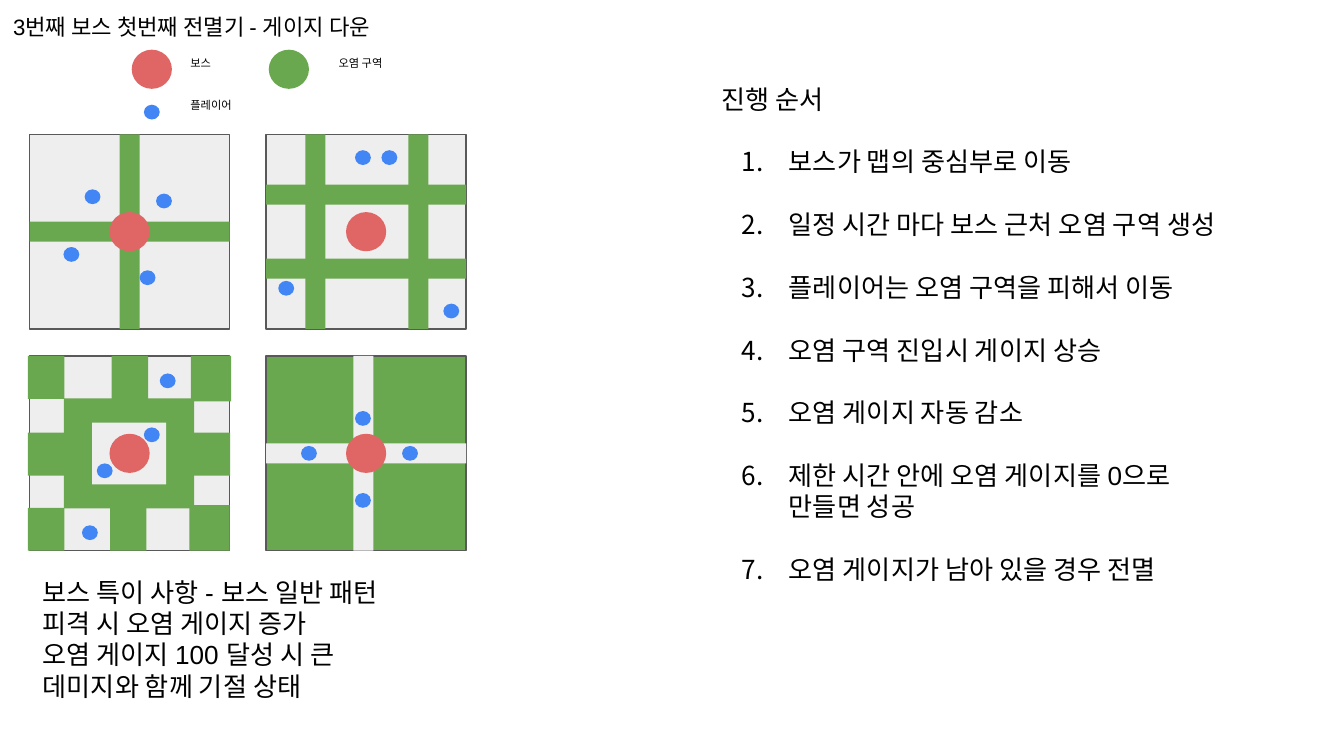
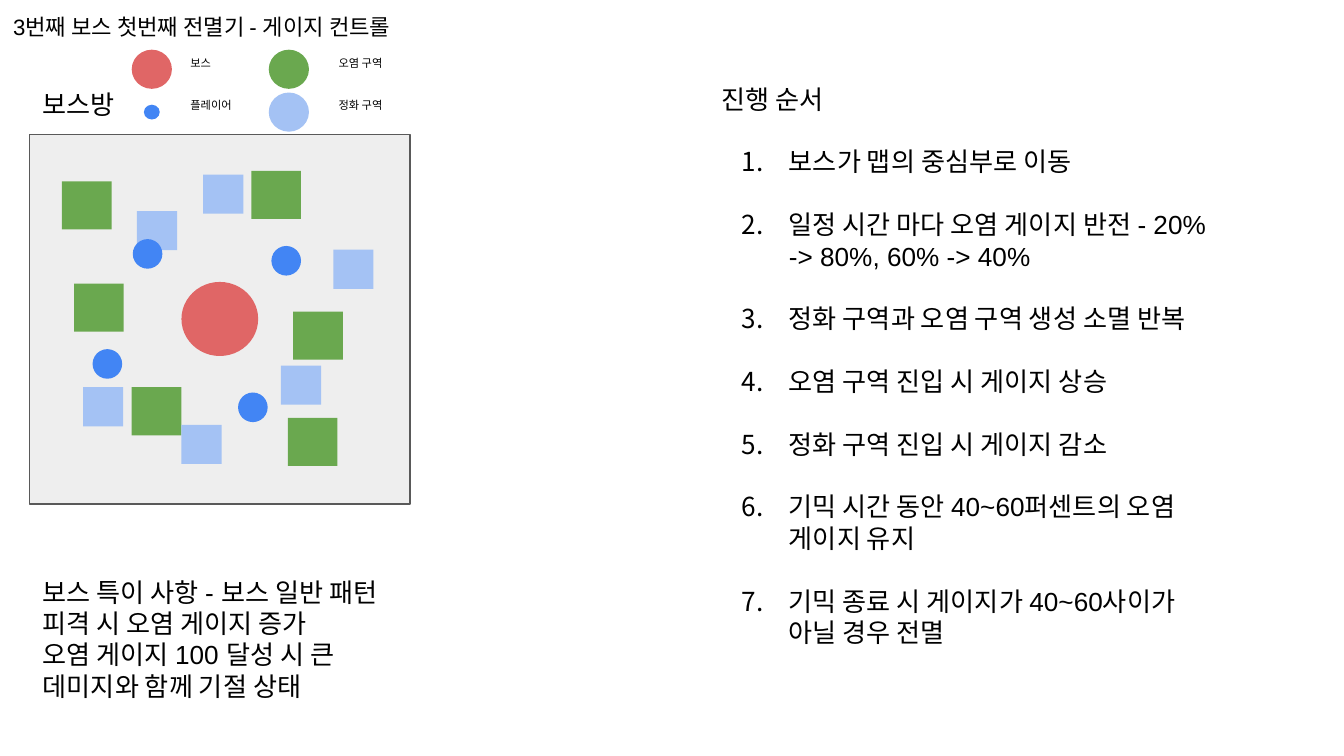
from lxml import etree
from pptx import Presentation
from pptx.dml.color import RGBColor
from pptx.enum.shapes import MSO_SHAPE
from pptx.oxml.ns import qn
from pptx.util import Cm, Pt

RED, GREEN, BLUE, PALE = "E06666", "6AA84F", "4285F4", "A4C2F4"
FLOOR, EDGE, BLACK = "EEEEEE", "595959", "000000"
OVAL, RECT = MSO_SHAPE.OVAL, MSO_SHAPE.RECTANGLE

BOSS = (0.76, 0.74)
PLAYER = (0.3, 0.28)
ARENA_W, ARENA_H, BAR = 3.78, 3.68, 0.38
ROOM_LEFT, ROOM_TOP = 0.56, 2.54

NOTES = ["보스 특이 사항 - 보스 일반 패턴 피격 시 오염 게이지 증가",
         "오염 게이지 100 달성 시 큰 데미지와 함께 기절 상태"]

pages = [
    ("게이지 다운", 8.05, 10.69, [
        "보스가 맵의 중심부로 이동",
        "일정 시간 마다 보스 근처 오염 구역 생성",
        "플레이어는 오염 구역을 피해서 이동",
        "오염 구역 진입시 게이지 상승",
        "오염 게이지 자동 감소",
        "제한 시간 안에 오염 게이지를 0으로 만들면 성공",
        "오염 게이지가 남아 있을 경우 전멸"]),
    ("게이지 컨트롤", 8.56, 11.28, [
        "보스가 맵의 중심부로 이동",
        "일정 시간 마다 오염 게이지 반전 - 20% -> 80%, 60% -> 40%",
        "정화 구역과 오염 구역 생성 소멸 반복",
        "오염 구역 진입 시 게이지 상승",
        "정화 구역 진입 시 게이지 감소",
        "기믹 시간 동안 40~60퍼센트의 오염 게이지 유지",
        "기믹 종료 시 게이지가 40~60사이가 아닐 경우 전멸"]),
]


def add_figure(s, kind, x, y, w, h, color, edge=None):
    sp = s.shapes.add_shape(kind, Cm(x), Cm(y), Cm(w), Cm(h))
    sp.shadow.inherit = False
    sp.fill.solid()
    sp.fill.fore_color.rgb = RGBColor.from_string(color)
    if edge:
        sp.line.color.rgb = RGBColor.from_string(edge)
        sp.line.width = Pt(0.75)
    else:
        sp.line.fill.background()


def add_text(s, x, y, w, h, lines, size):
    tf = s.shapes.add_textbox(Cm(x), Cm(y), Cm(w), Cm(h)).text_frame
    tf.word_wrap = True
    tf.margin_left = tf.margin_right = tf.margin_top = tf.margin_bottom = Cm(0.25)
    for i, line in enumerate(lines):
        p = tf.add_paragraph() if i else tf.paragraphs[0]
        p.text = line
        for r in p.runs:
            r.font.name = "Arial"
            r.font.size = Pt(size)
            r.font.color.rgb = RGBColor.from_string(BLACK)
    return tf


prs = Presentation()
prs.slide_width, prs.slide_height = Cm(25.4), Cm(14.29)

# Shared by both slides: title, steps, notes and legend
for topic, title_w, steps_h, steps in pages:
    s = prs.slides.add_slide(prs.slide_layouts[6])
    add_text(s, 0, 0, title_w, 0.99, [f"3번째 보스 첫번째 전멸기 - {topic}"], 11.9)
    tf = add_text(s, 13.39, 1.32, 10.06, steps_h, ["진행 순서"] + steps, 14)
    for p in tf.paragraphs[1:]:
        p.space_before = Pt(16.8)
        pPr = p._p.get_or_add_pPr()
        pPr.set("marL", str(Cm(1.27)))
        pPr.set("indent", str(-Cm(0.89)))
        etree.SubElement(pPr, qn("a:buFont"), typeface="Arial")
        etree.SubElement(pPr, qn("a:buAutoNum"), type="arabicPeriod")
    add_text(s, 0.56, 10.64, 6.83, 3.51, NOTES, 14)
    add_figure(s, OVAL, 2.49, 0.94, *BOSS, RED)
    add_figure(s, OVAL, 2.72, 1.98, *PLAYER, BLUE)
    add_figure(s, OVAL, 5.08, 0.94, *BOSS, GREEN)
    for x, y, w, label in [(3.35, 0.94, 1.22, "보스"), (3.35, 1.73, 1.42, "플레이어"),
                           (6.15, 0.94, 1.57, "오염 구역")]:
        add_text(s, x, y, w, 0.76, [label], 6)

# Slide 1: four arenas; zones and players are placed from each arena's corner
ring_zones = [(0.65, 0.8, 2.46, 2.08, GREEN), (1.18, 1.26, 1.4, 1.17, FLOOR)]
ring_zones += [(x, y, 0.69, 0.81, GREEN) for x, y in
               [(-0.03, 0), (-0.03, 1.45), (-0.03, 2.87), (1.55, 0), (1.52, 2.87), (3.1, 1.45)]]
ring_zones += [(x, y, 0.76, 0.86, GREEN) for x, y in [(3.05, 0), (3.02, 2.82)]]

arenas = [
    (FLOOR,
     [(1.7, 0, BAR, ARENA_H, GREEN), (0, 1.65, ARENA_W, BAR, GREEN)],
     [(1.04, 1.04), (0.64, 2.13), (2.08, 2.57), (2.39, 1.12)]),
    (FLOOR,
     [(x, 0, BAR, ARENA_H, GREEN) for x in (0.74, 2.69)]
     + [(0, y, ARENA_W, BAR, GREEN) for y in (0.95, 2.35)],
     [(1.68, 0.3), (0.23, 2.77), (3.35, 3.2), (2.18, 0.3)]),
    (FLOOR, ring_zones,
     [(2.46, 0.33), (0.99, 3.2), (2.16, 1.35), (1.27, 2.03)]),
    (GREEN,
     [(1.65, 0, BAR, ARENA_H, FLOOR), (0, 1.65, ARENA_W, BAR, FLOOR)],
     [(0.66, 1.7), (2.57, 1.7), (1.68, 1.04), (1.68, 2.59)]),
]
s = prs.slides[0]
for i, (base, zones, players) in enumerate(arenas):
    left = ROOM_LEFT + i % 2 * 4.47
    top = ROOM_TOP + i // 2 * 4.19
    add_figure(s, RECT, left, top, ARENA_W, ARENA_H, base, EDGE)
    for x, y, w, h, color in zones:
        add_figure(s, RECT, left + x, top + y, w, h, color)
    add_figure(s, OVAL, left + (ARENA_W - BOSS[0]) / 2, top + (ARENA_H - BOSS[1]) / 2, *BOSS, RED)
    for x, y in players:
        add_figure(s, OVAL, left + x, top + y, *PLAYER, BLUE)

# Slide 2: one boss room with polluted and cleansing zones
s = prs.slides[1]
add_text(s, 0.56, 1.42, 2.29, 1.12, ["보스방"], 14)
add_figure(s, OVAL, 5.08, 1.75, *BOSS, PALE)
add_text(s, 6.15, 1.73, 1.57, 0.76, ["정화 구역"], 6)
add_figure(s, RECT, ROOM_LEFT, ROOM_TOP, 7.19, 6.99, FLOOR, EDGE)
room = [
    (RECT, 0.94, 0.91, GREEN, [(1.17, 3.43), (4.75, 3.23), (5.54, 5.89),
                               (2.49, 7.32), (5.44, 7.9), (1.4, 5.36)]),
    (RECT, 0.76, 0.74, PALE, [(2.59, 3.99), (3.84, 3.3), (6.3, 4.72),
                              (5.31, 6.91), (3.43, 8.03), (1.57, 7.32)]),
    (OVAL, 1.45, 1.4, RED, [(3.43, 5.33)]),
    (OVAL, 0.56, 0.56, BLUE, [(1.75, 6.6), (4.5, 7.42), (5.13, 4.65), (2.51, 4.52)]),
]
for kind, w, h, color, spots in room:
    for x, y in spots:
        add_figure(s, kind, x, y, w, h, color)

prs.save("out.pptx")
